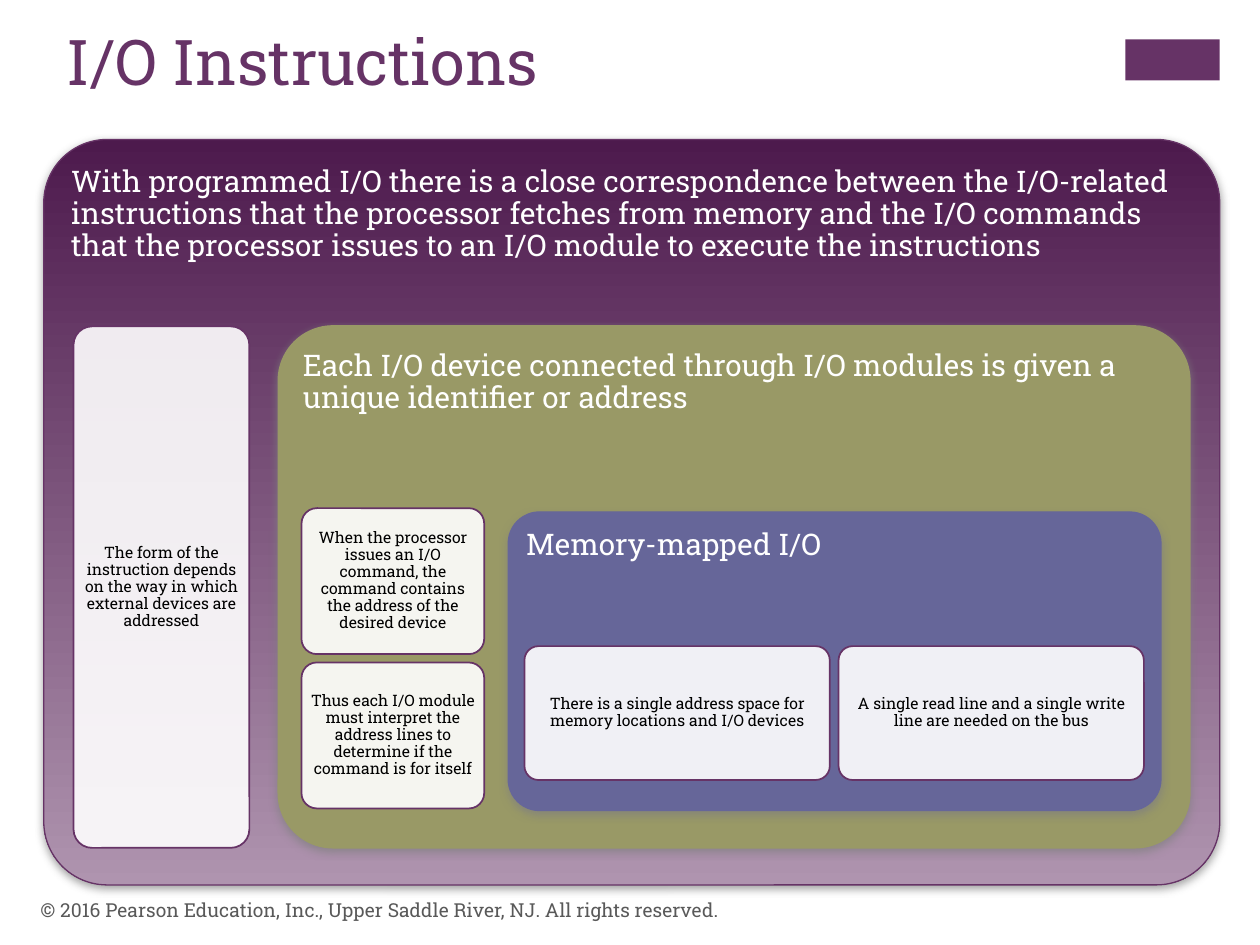
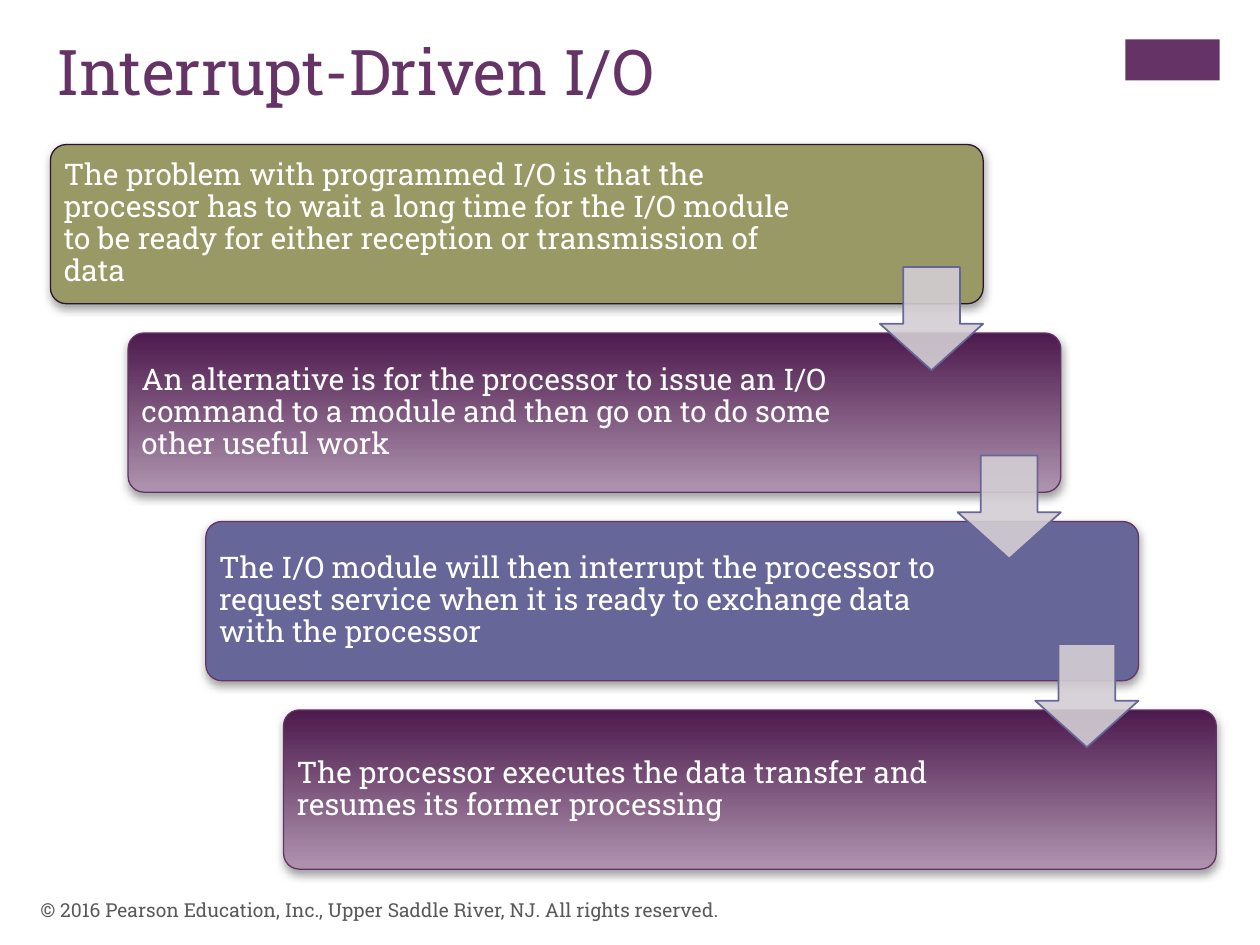
"""Builds two slides on I/O instructions and interrupt-driven I/O."""
import pptx
import pptx.dml.color
import pptx.enum.shapes
import pptx.enum.text
import pptx.oxml.ns
import pptx.util
from lxml import etree

Pt = pptx.util.Pt
Shape = pptx.enum.shapes.MSO_SHAPE
Anchor = pptx.enum.text.MSO_ANCHOR
Align = pptx.enum.text.PP_ALIGN
qn = pptx.oxml.ns.qn

COLORS = {
    "plum": "663366",
    "plum_dark": "4D1A4D",
    "plum_light": "AF94AF",
    "olive": "999966",
    "indigo": "666699",
    "ink": "2B142D",
    "arrow": "D3CED3",
    "shadow": "808080",
    "footer": "595959",
    "white": "FFFFFF",
    "black": "000000",
}
FADE = ("plum_dark", "plum_light")
COPYRIGHT = "© 2016 Pearson Education, Inc., Upper Saddle River, NJ. All rights reserved."


def rgb(color):
    return pptx.dml.color.RGBColor.from_string(COLORS[color])


class Deck:
    font = "Roboto Slab"

    def __init__(self):
        self.presentation = pptx.Presentation()
        self.presentation.slide_width = Pt(720)
        self.presentation.slide_height = Pt(540)
        self.slide = None

    def start_slide(self, title, left, top):
        self.slide = self.presentation.slides.add_slide(self.presentation.slide_layouts[6])
        self.shape(Shape.RECTANGLE, (643, 22.5, 54, 23.5), "plum")
        self.label(title, (left, top, 595, 88), 36, "plum", Anchor.TOP)

    def footer(self):
        self.label(COPYRIGHT, (16, 505.5, 482, 29), 11, "footer", Anchor.MIDDLE)

    def set_text(self, frame, text, size, color, anchor, align=Align.LEFT, spacing=1.0):
        frame.word_wrap = True
        frame.vertical_anchor = anchor
        frame.text = text
        paragraph = frame.paragraphs[0]
        paragraph.alignment = align
        paragraph.line_spacing = spacing
        font = paragraph.runs[0].font
        font.name = self.font
        font.size = Pt(size)
        font.color.rgb = rgb(color)

    def label(self, text, box, size, color, anchor):
        holder = self.slide.shapes.add_textbox(*map(Pt, box))
        self.set_text(holder.text_frame, text, size, color, anchor)

    def shape(self, kind, box, fill, line=None, width=0.75, adjust=(), opacity=None):
        shape = self.slide.shapes.add_shape(kind, *map(Pt, box))
        shape.shadow.inherit = False
        for index, value in enumerate(adjust):
            shape.adjustments[index] = value
        if fill == FADE:
            shape.fill.gradient()
            shape.fill.gradient_angle = 270
            for stop, color in zip(shape.fill.gradient_stops, fill):
                stop.color.rgb = rgb(color)
        else:
            shape.fill.solid()
            shape.fill.fore_color.rgb = rgb(fill)
        if opacity:
            tint = shape.element.spPr.find(qn("a:solidFill")).find(qn("a:srgbClr"))
            etree.SubElement(tint, qn("a:alpha"), val=str(opacity * 1000))
        if line:
            shape.line.color.rgb = rgb(line)
            shape.line.width = Pt(width)
        else:
            shape.line.fill.background()
        return shape

    def cast_shadow(self, shape):
        effects = shape.element.spPr.find(qn("a:effectLst"))
        shadow = etree.SubElement(
            effects, qn("a:outerShdw"), blurRad=str(Pt(5)), dist=str(Pt(2)),
            dir=str(90 * 60000), rotWithShape="0")
        tint = etree.SubElement(shadow, qn("a:srgbClr"), val=COLORS["shadow"])
        etree.SubElement(tint, qn("a:alpha"), val="75000")

    def inset(self, frame, margin, right=None):
        frame.margin_left = frame.margin_top = frame.margin_bottom = Pt(margin)
        frame.margin_right = Pt(margin if right is None else right)

    def panel(self, text, box, fill, line, corner, anchor=Anchor.TOP, right=5):
        panel = self.shape(Shape.ROUNDED_RECTANGLE, box, fill, line, adjust=(corner,))
        self.cast_shadow(panel)
        self.inset(panel.text_frame, 5, right)
        self.set_text(panel.text_frame, text, 17, "white", anchor, spacing=0.9)

    def card(self, text, box):
        card = self.shape(Shape.ROUNDED_RECTANGLE, box, "white", "plum", 1, (0.105,), 90)
        self.inset(card.text_frame, 2.7)
        self.set_text(card.text_frame, text, 9, "black", Anchor.MIDDLE, Align.CENTER, 0.9)

    def down_arrow(self, left, top):
        self.shape(Shape.DOWN_ARROW, (left, top, 59, 59), "arrow", "indigo", 1, (0.55, 0.45), 90)


def build_instructions(deck):
    deck.start_slide("I/O Instructions", 31, 9.5)
    deck.panel(
        "With programmed I/O there is a close correspondence between the I/O-related "
        "instructions that the processor fetches from memory and the I/O commands that "
        "the processor issues to an I/O module to execute the instructions",
        (25, 79.7, 672, 426), FADE, "plum", 0.085)
    deck.card(
        "The form of the instruction depends on the way in which external devices are addressed",
        (42, 186.5, 100.5, 298))
    deck.panel(
        "Each I/O device connected through I/O modules is given a unique identifier or address",
        (159, 186.2, 521, 298.3), "olive", "olive", 0.105)
    command_steps = [
        "When the processor issues an I/O command, the command contains the address of "
        "the desired device",
        "Thus each I/O module must interpret the address lines to determine if the "
        "command is for itself",
    ]
    for row, step in enumerate(command_steps):
        deck.card(step, (172.3, 290.4 + row * 88.2, 104.4, 83.4))
    deck.panel("Memory-mapped I/O", (290.4, 292.6, 373, 170.6), "indigo", "indigo", 0.105)
    mapping_facts = [
        "There is a single address space for memory locations and I/O devices",
        "A single read line and a single write line are needed on the bus",
    ]
    for column, fact in enumerate(mapping_facts):
        deck.card(fact, (299.7 + column * 179.5, 369.2, 174.5, 76.5))
    deck.footer()


def build_interrupts(deck):
    deck.start_slide("Interrupt-Driven I/O", 25, 15)
    stages = [
        ("The problem with programmed I/O is that the processor has to wait a long time "
         "for the I/O module to be ready for either reception or transmission of data",
         "olive", "ink", 105.5),
        ("An alternative is for the processor to issue an I/O command to a module and "
         "then go on to do some other useful work", FADE, "plum", 109),
        ("The I/O module will then interrupt the processor to request service when it is "
         "ready to exchange data with the processor", "indigo", "plum", 108.5),
        ("The processor executes the data transfer and resumes its former processing",
         FADE, "plum", 109),
    ]
    corners = [(28.8 + 44.4 * step, 82.6 + 107.7 * step) for step in range(len(stages))]
    for (text, fill, line, right), (left, top) in zip(stages, corners):
        deck.panel(text, (left, top, 533, 91), fill, line, 0.1, Anchor.MIDDLE, right)
    for left, top in corners[:-1]:
        deck.down_arrow(left + 474, top + 70)
    deck.footer()


def main():
    deck = Deck()
    build_instructions(deck)
    build_interrupts(deck)
    deck.presentation.save("out.pptx")


if __name__ == "__main__":
    main()
